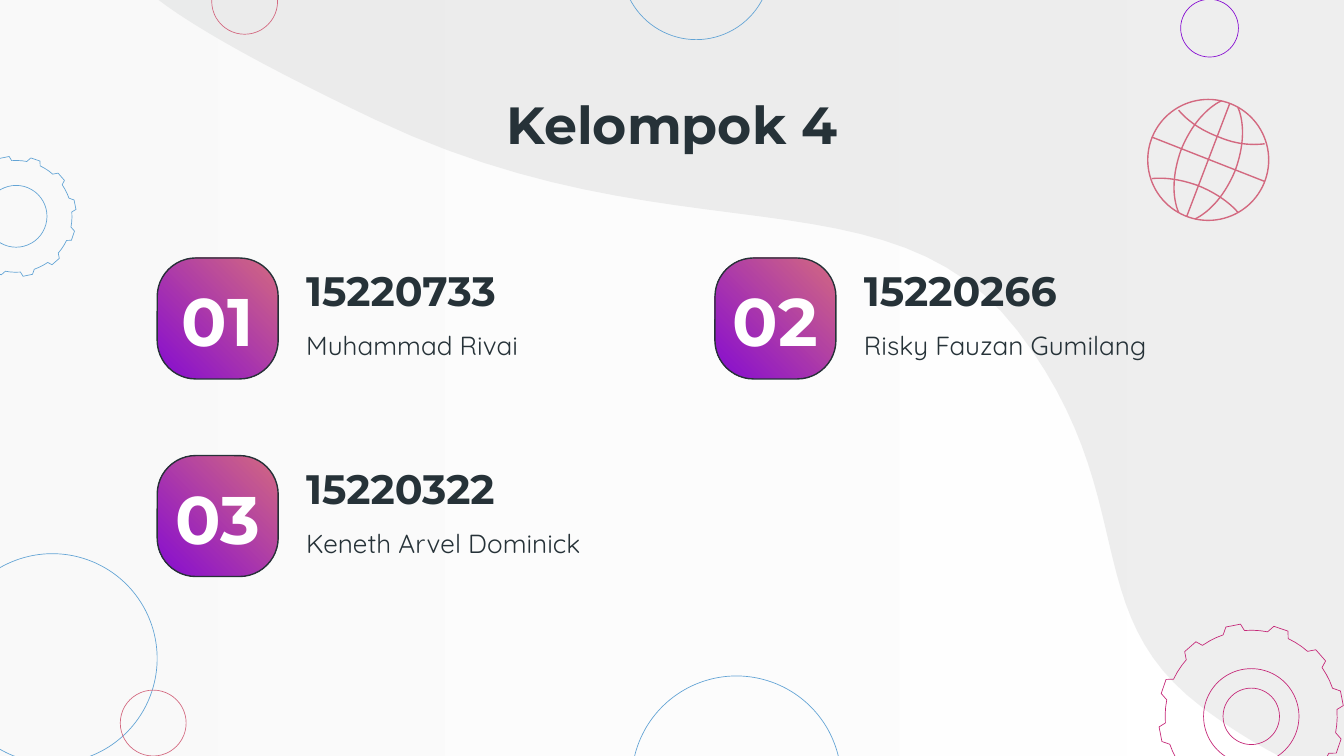
"""Build the group member slide with numbered badges and line ornaments."""
from math import cos, radians, sin

from lxml import etree
from pptx import Presentation
from pptx import util as u
from pptx.dml import color
from pptx.enum import shapes, text
from pptx.oxml import ns

hue = color.RGBColor.from_string
DARK, PINK, PLUM, BLUE, ROSE = "263238", "D36980", "860CD1", "63A4D5", "C52878"
kind = shapes.MSO_SHAPE

deck = Presentation()
deck.slide_width, deck.slide_height = u.Inches(10), u.Inches(10 * 9 / 16)
page = deck.slides.add_slide(deck.slide_layouts[6])
tree = page.shapes


def paint(item, line=None, width=0.36, fills=(), angle=0, alpha=None):
    """Set the outline and a clear, plain or gradient fill."""
    item.shadow.inherit = False
    if line:
        item.line.color.rgb = hue(line)
        item.line.width = u.Pt(width)
    else:
        item.line.fill.background()
    if len(fills) == 2:
        item.fill.gradient()
        item.fill.gradient_angle = angle
        for stop, tint in zip(item.fill.gradient_stops, fills):
            stop.color.rgb = hue(tint)
    elif fills:
        item.fill.solid()
        item.fill.fore_color.rgb = hue(fills[0])
    else:
        item.fill.background()
    if alpha:
        for node in item._element.spPr.iter(ns.qn("a:srgbClr")):
            etree.SubElement(node, ns.qn("a:alpha")).set("val", str(alpha * 1000))


def trace(start, steps, close=True):
    """Draw an outline of lines (x, y) and Bezier curves (six numbers)."""
    dots, last = [], start
    for step in steps:
        if len(step) == 2:
            dots.append(step)
        else:
            knots = [last, step[:2], step[2:4], step[4:]]
            for n in range(1, 25):
                t = n / 24
                mix = ((1 - t) ** 3, 3 * t * (1 - t) ** 2, 3 * t * t * (1 - t), t ** 3)
                dots.append(tuple(sum(m * k[i] for m, k in zip(mix, knots))
                                  for i in (0, 1)))
        last = step[-2:]
    pen = tree.build_freeform(u.Inches(start[0]), u.Inches(start[1]))
    pen.add_line_segments([(u.Inches(x), u.Inches(y)) for x, y in dots], close=close)
    return pen.convert_to_shape()


base = tree.add_shape(kind.RECTANGLE, u.Inches(-0.07), u.Inches(-0.07),
                      u.Inches(10.14), u.Inches(5.77))
paint(base, fills=("FFFFFF", "F3F3F3"), angle=180, alpha=41)

wave = trace((10.28, -0.25), [
    (10.28, 5.88), (10.13, 5.88),
    (9.81, 5.78, 9.39, 5.6, 8.94, 5.26),
    (8, 4.55, 8.51, 3.69, 7.57, 2.46),
    (6.62, 1.23, 5.02, 1.95, 2.79, 0.89),
    (1.76, 0.4, 1.28, 0.1, 1.07, -0.09),
    (1.07, -0.25)])
paint(wave, fills=("D6D7D7",), alpha=41)

rings = [
    (0.39, 4.9, 1.56, BLUE, 0.36),
    (9, 0.21, 0.43, PLUM, 0.36),
    (1.82, 0.01, 0.49, PINK, 0.36),
    (5.18, -0.26, 1.11, BLUE, 0.36),
    (5.48, 5.81, 1.56, BLUE, 0.36),
    (1.14, 5.38, 0.49, PINK, 0.36),
    (0.12, 1.61, 0.46, BLUE, 0.36),
    (9.31, 5.33, 0.71, ROSE, 0.36),
    (9.31, 5.33, 0.42, ROSE, 0.36),
    (8.99, 1.19, 0.9, PINK, 0.75),
]
for x, y, size, tint, width in rings:
    ring = tree.add_shape(kind.OVAL, u.Inches(x - size / 2), u.Inches(y - size / 2),
                          u.Inches(size), u.Inches(size))
    paint(ring, tint, width)

tooth = [(0.64, 4.5), (0.69, 6.6), (0.69, 15.8), (0.64, 19), (0.64, 24), (0.64, 29)]
for x, y, scale, tint in [(0.12, 1.61, 0.65, BLUE), (9.31, 5.33, 1, ROSE)]:
    rim = [(x + scale * r * cos(radians(a + 30 * n)),
            y - scale * r * sin(radians(a + 30 * n)))
           for n in range(12) for r, a in tooth]
    paint(trace(rim[0], rim[1:]), tint)

arcs = [
    ((8.77, 1.58), (8.77, 1.58, 8.68, 1.41, 8.79, 1.11), (8.91, 0.82, 9.09, 0.75, 9.09, 0.75)),
    ((8.89, 1.63), (8.89, 1.63, 9.07, 1.56, 9.19, 1.27), (9.3, 0.97, 9.21, 0.8, 9.21, 0.8)),
    ((9.21, 1.58), (9.16, 1.52, 9.06, 1.44, 8.91, 1.38), (8.77, 1.33, 8.65, 1.32, 8.57, 1.33)),
    ((8.77, 0.82), (8.82, 0.88, 8.91, 0.96, 9.07, 1.02), (9.21, 1.08, 9.33, 1.08, 9.41, 1.07)),
]
for start, *steps in arcs:
    paint(trace(start, steps, close=False), PINK, 0.75)
for ends in [(9.15, 0.77, 8.83, 1.61), (8.57, 1.02, 9.41, 1.35)]:
    axis = tree.add_connector(shapes.MSO_CONNECTOR.STRAIGHT, *map(u.Inches, ends))
    axis.line.color.rgb = hue(PINK)
    axis.line.width = u.Pt(0.75)
    etree.SubElement(axis._element.spPr, ns.qn("a:effectLst"))

mid, left = text.PP_ALIGN.CENTER, text.PP_ALIGN.LEFT
labels = [("Kelompok 4", 0.78, 0.72, 8.44, 0.4, 28, DARK, mid)]
team = [
    ("01", "15220733", "Muhammad Rivai"),
    ("02", "15220266", "Risky Fauzan Gumilang"),
    ("03", "15220322", "Keneth Arvel Dominick"),
]
for n, (rank, code, name) in enumerate(team):
    x, y = 1.17 + n % 2 * 4.15, 1.92 + n // 2 * 1.47
    badge = tree.add_shape(kind.ROUNDED_RECTANGLE, u.Inches(x), u.Inches(y),
                           u.Inches(0.9), u.Inches(0.9))
    badge.adjustments[0] = 0.32
    paint(badge, DARK, 0.75, (PINK, PLUM), 225)
    labels += [
        (rank, x, y + 0.11, 0.9, 0.7, 36, "FFFFFF", mid),
        (code, x + 1.01, y, 2.82, 0.48, 22, DARK, left),
        (name, x + 1.01, y + 0.39, 2.82, 0.52, 14, DARK, left),
    ]

for words, x, y, wide, high, size, tint, align in labels:
    box = tree.add_textbox(u.Inches(x), u.Inches(y), u.Inches(wide), u.Inches(high))
    frame = box.text_frame
    frame.word_wrap = True
    frame.vertical_anchor = text.MSO_ANCHOR.MIDDLE
    frame.margin_left = frame.margin_right = u.Inches(0.1)
    frame.margin_top = frame.margin_bottom = u.Inches(0.1)
    line = frame.paragraphs[0]
    line.text, line.alignment = words, align
    line.font.size, line.font.bold = u.Pt(size), size > 14
    line.font.name = "Montserrat" if size > 14 else "Quicksand"
    line.font.color.rgb = hue(tint)

deck.save("out.pptx")
